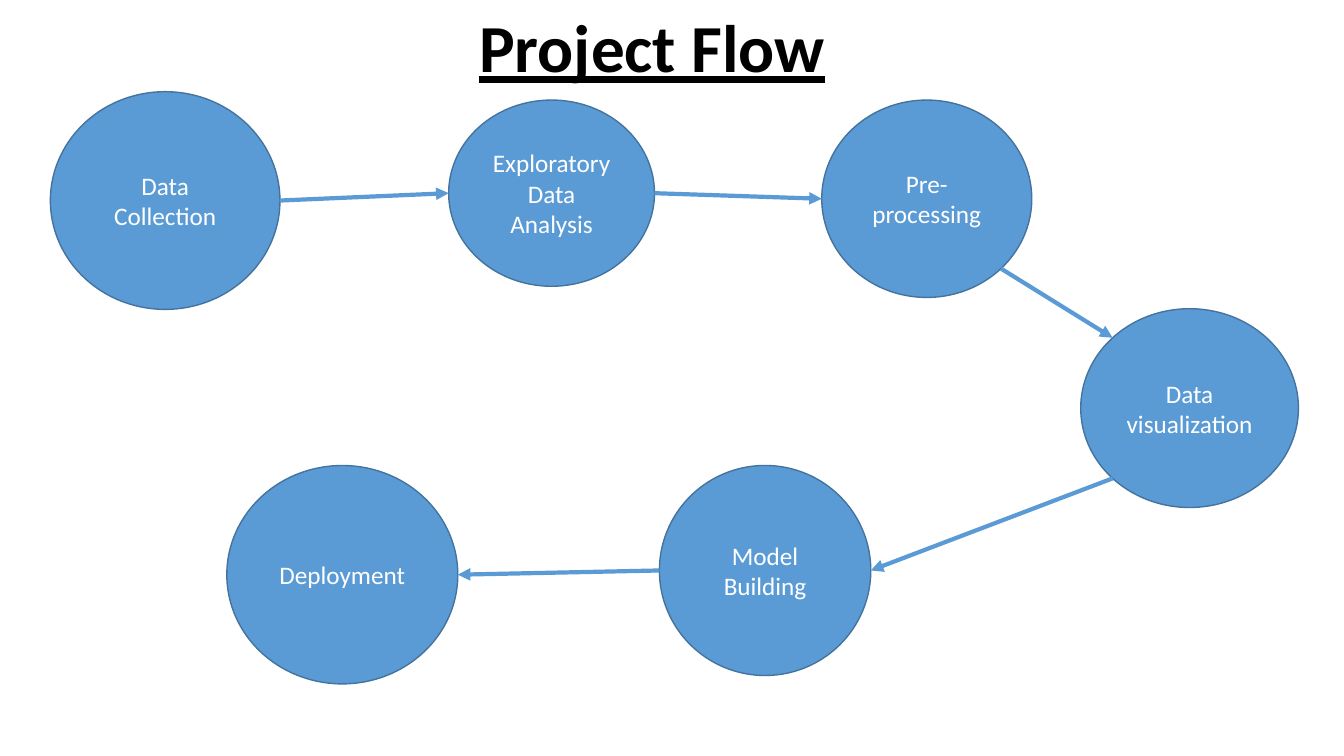
from itertools import pairwise
from math import cos, radians, sin

from lxml import etree
from pptx import Presentation
from pptx.dml.color import RGBColor
from pptx.enum.shapes import MSO_CONNECTOR, MSO_SHAPE
from pptx.enum.text import MSO_ANCHOR, MSO_AUTO_SIZE, PP_ALIGN
from pptx.oxml.ns import qn
from pptx.util import Pt

OVAL = MSO_SHAPE.OVAL
STRAIGHT = MSO_CONNECTOR.STRAIGHT
MIDDLE = MSO_ANCHOR.MIDDLE
NO_AUTOFIT = MSO_AUTO_SIZE.NONE
LEFT, CENTER = PP_ALIGN.LEFT, PP_ALIGN.CENTER

BLUE = RGBColor(0x5B, 0x9B, 0xD5)
DARK_BLUE = RGBColor(0x43, 0x73, 0x9E)
WHITE = RGBColor(0xFF, 0xFF, 0xFF)
BLACK = RGBColor(0x00, 0x00, 0x00)
FONT = "Calibri"
TITLE_LAYOUT = 5

# Stage name and its box: left, top, width, height in points
STAGES = [
    ("Data Collection", (36, 65.5, 164, 155.5)),
    ("Exploratory Data Analysis", (320.5, 71.5, 147, 133)),
    ("Pre-processing", (587, 71.5, 150, 141)),
    ("Data visualization", (772, 220.5, 155.5, 142)),
    ("Model Building", (471, 332.5, 151, 150)),
    ("Deployment", (162, 332.5, 165, 156)),
]
# Angles, clockwise from the right, where each arrow leaves and arrives
ARROW_ANGLES = [(0, 180), (0, 180), (45, 225), (135, 0), (180, 0)]


def write_text(shape, text, size, color, align, bold=False, underline=False):
    frame = shape.text_frame
    frame.auto_size = NO_AUTOFIT
    frame.vertical_anchor = MIDDLE
    para = frame.paragraphs[0]
    para.alignment = align
    span = para.add_run()
    span.text = text
    font = span.font
    font.name, font.size, font.color.rgb = FONT, Pt(size), color
    font.bold, font.underline = bold, underline


def add_title(page, text, box):
    title = page.shapes.title
    title.left, title.top, title.width, title.height = map(Pt, box)
    write_text(title, text, 48, BLACK, LEFT, bold=True, underline=True)
    title.text_frame.word_wrap = False


def add_stage(page, name, box):
    circle = page.shapes.add_shape(OVAL, *map(Pt, box))
    circle.shadow.inherit = False
    circle.fill.solid()
    circle.fill.fore_color.rgb = BLUE
    circle.line.color.rgb = DARK_BLUE
    circle.line.width = Pt(1)
    write_text(circle, name, 18, WHITE, CENTER)
    circle.text_frame.word_wrap = True


def rim_point(box, angle):
    """Point on the ellipse inside the box, at the given angle in degrees."""
    left, top, width, height = box
    turn = radians(angle)
    return Pt(left + width / 2 * (1 + cos(turn))), Pt(top + height / 2 * (1 + sin(turn)))


def add_arrow(page, start, end):
    arrow = page.shapes.add_connector(STRAIGHT, *start, *end)
    arrow.line.color.rgb = BLUE
    arrow.line.width = Pt(3)
    etree.SubElement(arrow.line._get_or_add_ln(), qn("a:tailEnd"), type="triangle")
    etree.SubElement(arrow._element.spPr, qn("a:effectLst"))


def add_flow(page):
    # Circles
    for name, box in STAGES:
        add_stage(page, name, box)
    # Arrows from each stage to the next
    for ((_, source), (_, target)), (leave, arrive) in zip(pairwise(STAGES), ARROW_ANGLES):
        add_arrow(page, rim_point(source, leave), rim_point(target, arrive))


def main():
    deck = Presentation()
    deck.slide_width, deck.slide_height = Pt(960), Pt(540)
    page = deck.slides.add_slide(deck.slide_layouts[TITLE_LAYOUT])
    add_title(page, "Project Flow", (335, 0, 264, 65.5))
    add_flow(page)
    deck.save("out.pptx")


if __name__ == "__main__":
    main()
